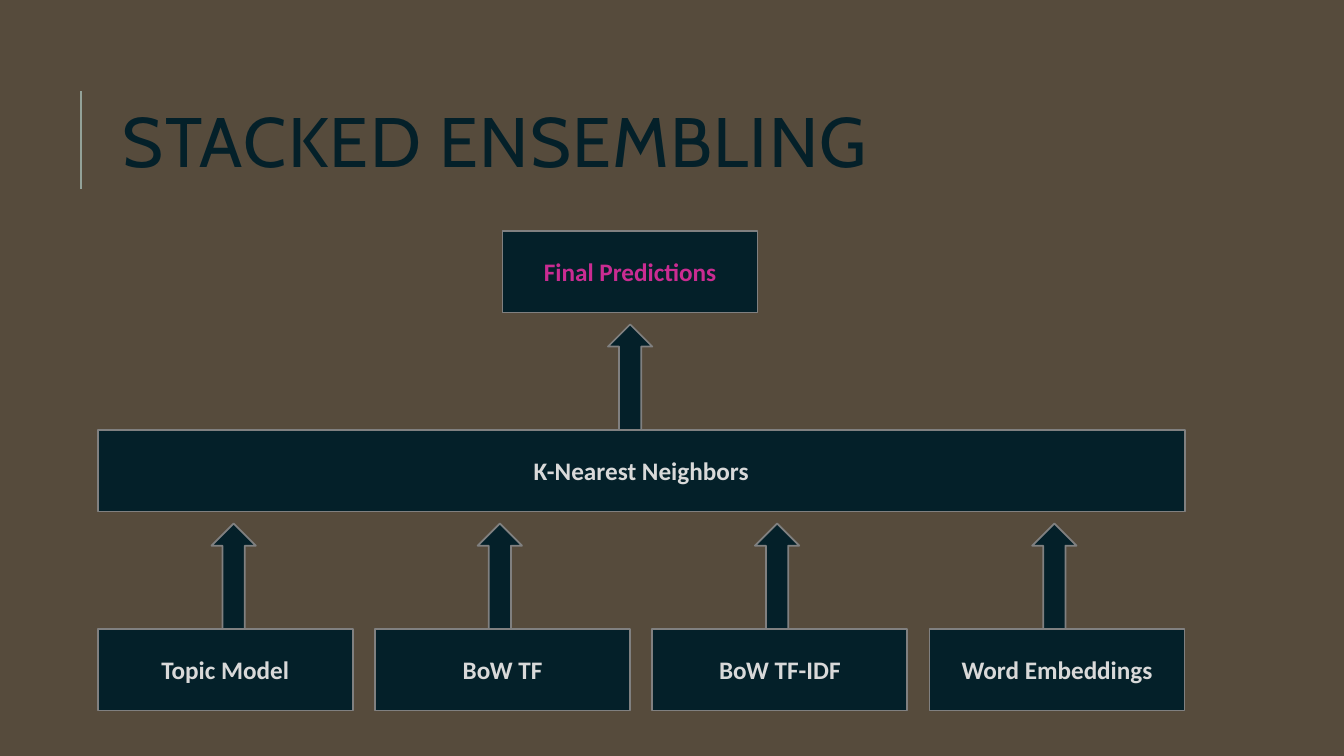
import pptx
import pptx.util
import pptx.dml.color
import pptx.enum.shapes
import pptx.enum.text
import pptx.oxml.ns
import lxml.etree

SHAPE = pptx.enum.shapes.MSO_SHAPE
ALIGN = pptx.enum.text.PP_ALIGN
WIDE, HIGH = 13.33, 7.5
DARK, GREY, PALE, PINK = "042029", "808080", "D9D9D9", "CA2C92"


def tint(code):
    return pptx.dml.color.RGBColor.from_string(code)


class Board:
    """Slide with a grid whose columns and rows hold the boxes."""
    left, top = 0.97, 2.29
    col, row = 2.75, (6.24 - 2.29) / 2

    def __init__(self, deck, back):
        self.slide = deck.slides.add_slide(deck.slide_layouts[6])
        self.slide.background.fill.solid()
        self.slide.background.fill.fore_color.rgb = tint(back)

    def area(self, col, row, wide, high):
        spots = (self.left + col * self.col, self.top + row * self.row,
                 wide * self.col, high * self.row)
        return [pptx.util.Inches(spot) for spot in spots]

    def label(self, shape, text, font, size, color, align, bold=False):
        frame = shape.text_frame
        frame.word_wrap = True
        frame.vertical_anchor = pptx.enum.text.MSO_ANCHOR.MIDDLE
        frame.text = text
        para = frame.paragraphs[0]
        para.alignment = align
        run = para.runs[0]
        run.font.name = font
        run.font.size = pptx.util.Pt(size)
        run.font.bold = bold
        run.font.color.rgb = tint(color)
        return para, run

    def shape(self, kind, col, row, wide, high):
        item = self.slide.shapes.add_shape(kind, *self.area(col, row, wide, high))
        item.shadow.inherit = False
        item.fill.solid()
        item.fill.fore_color.rgb = tint(DARK)
        item.line.color.rgb = tint(GREY)
        item.line.width = pptx.util.Pt(1.25)
        return item

    def box(self, text, col, row, wide=0.92, color=PALE):
        item = self.shape(SHAPE.RECTANGLE, col, row, wide, 0.41)
        self.label(item, text, "Calibri", 18, color, ALIGN.CENTER, True)

    def arrow(self, mid, row):
        wide = 0.16
        self.shape(SHAPE.UP_ARROW, mid - wide / 2, row + 0.47, wide, 0.53)

    def title(self, text):
        spots = (1.12, 0.64, 10.63, 1.64)
        item = self.slide.shapes.add_textbox(*map(pptx.util.Inches, spots))
        para, run = self.label(item, text, "Cabin", 50, DARK, ALIGN.LEFT)
        para.line_spacing = 0.8
        run.font._element.set("spc", "100")

    def rule(self, x, start, end):
        ends = [pptx.util.Inches(spot) for spot in
                (x * WIDE, start * HIGH, x * WIDE, end * HIGH)]
        line = self.slide.shapes.add_connector(
            pptx.enum.shapes.MSO_CONNECTOR.STRAIGHT, *ends)
        line.line.color.rgb = tint("93A299")
        line.line.width = pptx.util.Pt(1.5)
        lxml.etree.SubElement(line._element.spPr, pptx.oxml.ns.qn("a:effectLst"))


def main():
    deck = pptx.Presentation()
    deck.slide_width = pptx.util.Inches(WIDE)
    deck.slide_height = pptx.util.Inches(HIGH)
    board = Board(deck, "564B3C")

    # Heading
    board.rule(0.06, 0.25, 0.12)
    board.title("STACKED ENSEMBLING")

    # Base models
    models = ["Topic Model", "BoW TF", "BoW TF-IDF", "Word Embeddings"]
    for col, name in enumerate(models):
        board.box(name, col, 2)

    # Stacking model
    board.box("K-Nearest Neighbors", 0, 1, wide=3.92)

    # Flow from the models to the result
    for mid in (0.49, 1.45, 2.45, 3.45):
        board.arrow(mid, 1)
    board.arrow(1.92, 0)

    # Result
    board.box("Final Predictions", 1.46, 0, color=PINK)

    deck.save("out.pptx")


if __name__ == "__main__":
    main()
